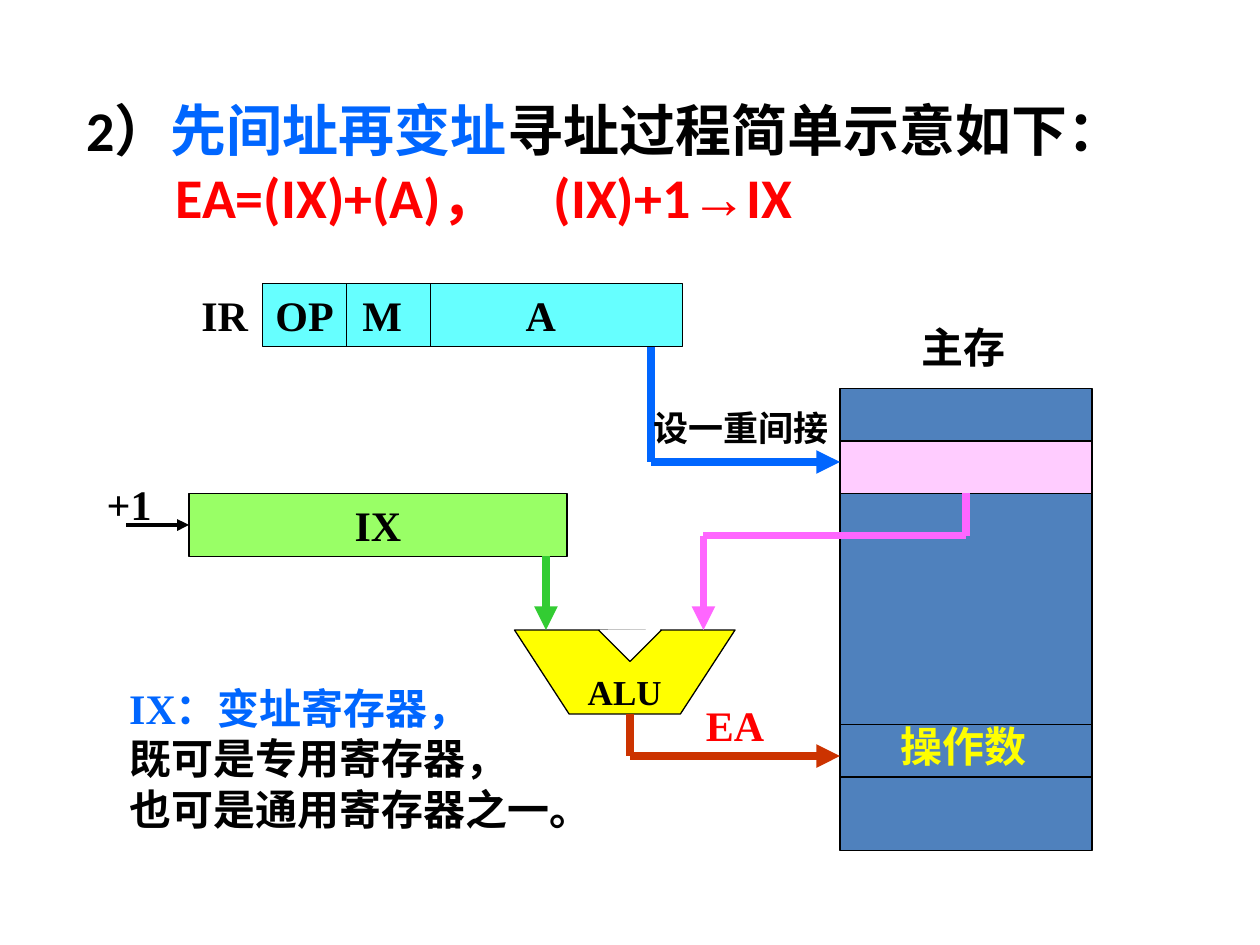
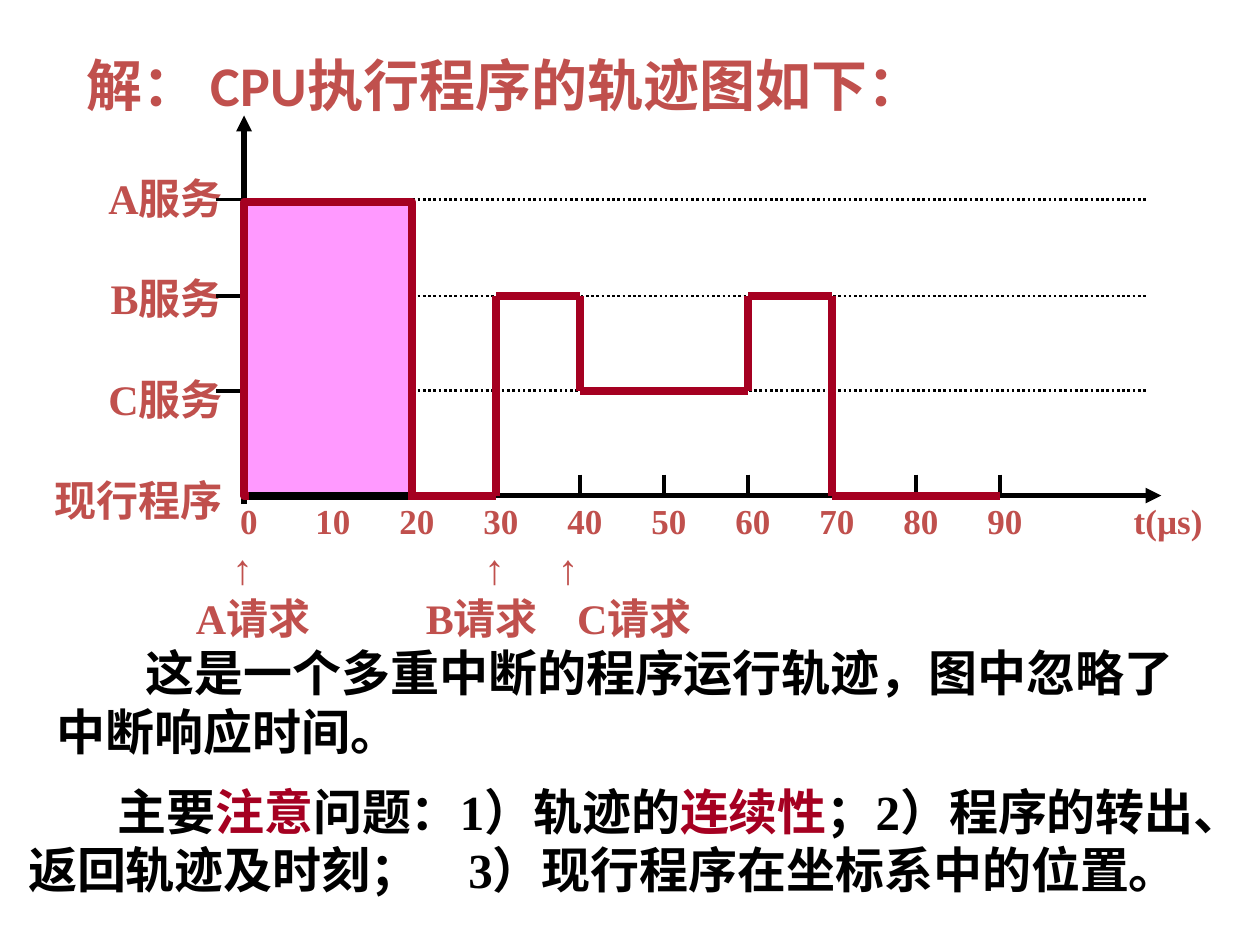
from itertools import pairwise

from pptx import Presentation
from pptx import util as u
from pptx.dml.color import RGBColor
from pptx.enum import dml, shapes, text
from pptx.oxml.ns import qn
from lxml import etree

COLORS = {
    "ink": "000000", "blue": "0066FF", "red": "FF0000", "brick": "C0504D",
    "crimson": "A50021", "cyan": "66FFFF", "lime": "99FF66", "green": "33CC33",
    "yellow": "FFFF00", "magenta": "FF66FF", "rose": "FFCCFF", "orchid": "FF99FF",
    "rust": "CC3300", "memory": "4F81BD", "paper": "FFFFFF",
}
HEADING_FONT, BODY_FONT, SYMBOL_FONT = "Calibri", "Times New Roman", "Arial"
CELL = u.Inches(1) / 12
THIN, MEDIUM, AXIS, THICK = 0.75, 2.25, 3, 4.5
ALIGN = text.PP_ALIGN


def cells(count):
    return u.Emu(round(count * CELL))


def rgb(name):
    return RGBColor.from_string(COLORS[name])


def style_run(run, size, color, font):
    run.font.size, run.font.bold, run.font.name = u.Pt(size), True, font
    run.font.color.rgb = rgb(color)


def write_runs(paragraph, parts, size, font):
    """Add (words, color[, font]) parts to the paragraph."""
    for words, color, *own_font in parts:
        run = paragraph.add_run()
        run.text = words
        style_run(run, size, color, own_font[0] if own_font else font)


def indent_first_line(paragraph, indent=8.5):
    properties = paragraph._p.get_or_add_pPr()
    properties.set("marL", "0")
    properties.set("indent", str(cells(indent)))


def place(item, left, top, width, height):
    item.left, item.top = cells(left), cells(top)
    item.width, item.height = cells(width), cells(height)


def add_titled_slide(deck, box, lines):
    slide = deck.slides.add_slide(deck.slide_layouts[5])
    title = slide.shapes.title
    place(title, *box)
    frame = title.text_frame
    frame.auto_size = text.MSO_AUTO_SIZE.NONE
    frame.vertical_anchor = text.MSO_ANCHOR.MIDDLE
    for number, parts in enumerate(lines):
        paragraph = frame.add_paragraph() if number else frame.paragraphs[0]
        paragraph.alignment = ALIGN.LEFT
        write_runs(paragraph, parts, 32, HEADING_FONT)
    return slide


def add_label(slide, words, x, y, size=24, color="ink", align=ALIGN.CENTER,
              font=BODY_FONT, width=20):
    """Write words around row y, with column x as their centre, left or right edge."""
    share = {ALIGN.LEFT: 0, ALIGN.CENTER: 0.5, ALIGN.RIGHT: 1}[align]
    height = 6 * len(words.split("\n"))
    box = slide.shapes.add_textbox(cells(x - width * share), cells(y - height / 2),
                                   cells(width), cells(height))
    frame = box.text_frame
    frame.margin_left = frame.margin_right = frame.margin_top = frame.margin_bottom = 0
    frame.word_wrap = True
    frame.vertical_anchor = text.MSO_ANCHOR.MIDDLE
    frame.text = words
    for paragraph in frame.paragraphs:
        paragraph.alignment = align
        for run in paragraph.runs:
            style_run(run, size, color, font)
    return box


def add_comment(slide, box, parts):
    """Add a wrapped paragraph with an indented first line."""
    comment = slide.shapes.add_textbox(*map(cells, box))
    frame = comment.text_frame
    frame.word_wrap = True
    frame.vertical_anchor = text.MSO_ANCHOR.MIDDLE
    indent_first_line(frame.paragraphs[0])
    write_runs(frame.paragraphs[0], parts, 28, BODY_FONT)


def paint(shape, fill, line="ink", weight=THIN):
    shape.shadow.inherit = False
    shape.fill.solid()
    shape.fill.fore_color.rgb = rgb(fill)
    shape.line.color.rgb = rgb(line)
    shape.line.width = u.Pt(weight)


def add_block(slide, left, top, width, height, *look, kind=shapes.MSO_SHAPE.RECTANGLE):
    block = slide.shapes.add_shape(kind, cells(left), cells(top), cells(width), cells(height))
    paint(block, *look)
    return block


def add_route(slide, points, color="ink", weight=THIN, arrow=False, dotted=False):
    """Join the points with straight lines; the last one may carry an arrowhead."""
    for start, end in pairwise(points):
        line = slide.shapes.add_connector(shapes.MSO_CONNECTOR.STRAIGHT,
                                          *map(cells, (*start, *end)))
        line.line.color.rgb = rgb(color)
        line.line.width = u.Pt(weight)
        if dotted:
            line.line.dash_style = dml.MSO_LINE.ROUND_DOT
        if arrow and end == points[-1]:
            etree.SubElement(line.line._get_or_add_ln(), qn("a:tailEnd"), type="triangle")
        etree.SubElement(line._element.spPr, qn("a:effectLst"))


def add_alu(slide):
    outline = [(49, 60), (54.2, 68), (64.8, 68), (70, 60)]
    corners = [(cells(x), cells(y)) for x, y in outline]
    builder = slide.shapes.build_freeform(*corners[0])
    builder.add_line_segments(corners[1:], close=True)
    paint(builder.convert_to_shape(), "yellow")
    notch = add_block(slide, 58, 58, 4, 4, "paper", "paper",
                      kind=shapes.MSO_SHAPE.RIGHT_TRIANGLE)
    notch.rotation = 314.6
    add_route(slide, [(57, 60), (60, 63), (63, 60)])
    add_label(slide, "ALU", 59.5, 65.9, 20)


def add_instruction_register(slide):
    add_block(slide, 25, 27, 40, 6, "cyan")
    for column in (33, 41):
        add_route(slide, [(column, 27), (column, 33)])
    for field, column in (("IR", 21.4), ("OP", 29), ("M", 36.4), ("A", 51.5)):
        add_label(slide, field, column, 30)


def add_main_memory(slide):
    left, width = 80, 24
    add_label(slide, "主存", 91.8, 33)
    add_block(slide, left, 37, width, 44, "memory")
    for row in (69, 74):
        add_route(slide, [(left, row), (left + width, row)])
    add_block(slide, left, 42, width, 5, "rose")
    add_label(slide, "操作数", 91.8, 71, color="yellow")


def build_addressing_slide(deck):
    slide = add_titled_slide(deck, (7, 5, 109, 21), [
        [("2）", "ink"), ("先间址再变址", "blue"), ("寻址过程简单示意如下：", "ink")],
        [("EA=(IX)+(A)，　(IX)+1", "red"), ("→", "red", SYMBOL_FONT), ("IX", "red")],
    ])
    indent_first_line(slide.shapes.title.text_frame.paragraphs[1])

    add_instruction_register(slide)
    add_block(slide, 18, 47, 36, 6, "lime")
    add_label(slide, "IX", 36, 50)
    add_label(slide, "+1", 12.3, 48)
    add_alu(slide)
    add_main_memory(slide)

    add_route(slide, [(12, 50), (18, 50)], weight=MEDIUM, arrow=True)
    for color, points in (
        ("blue", [(62, 33), (62, 44), (80, 44)]),
        ("green", [(52, 53), (52, 60)]),
        ("magenta", [(92, 47), (92, 51), (67, 51), (67, 60)]),
        ("rust", [(60, 68), (60, 72), (80, 72)]),
    ):
        add_route(slide, points, color, THICK, arrow=True)

    add_label(slide, "设一重间接", 70.6, 40.7, 20)
    add_label(slide, "EA", 70, 69, color="red")
    note = add_label(slide, "IX：变址寄存器，\n既可是专用寄存器，\n也可是通用寄存器之一。",
                     12.3, 72.2, align=ALIGN.LEFT, width=46)
    note.text_frame.paragraphs[0].runs[0].font.color.rgb = rgb("blue")


def time_column(microseconds):
    return 23.25 + 0.8 * microseconds


def build_trace_slide(deck):
    slide = add_titled_slide(deck, (7, 3, 110, 10),
                             [[("解： CPU执行程序的轨迹图如下：", "brick")]])
    levels = {"A服务": 19, "B服务": 28.2, "C服务": 37.2, "现行程序": 47.2}
    services = list(levels.values())[:3]
    base, origin = levels["现行程序"], time_column(0)

    add_route(slide, [(origin, 48), (origin, 11)], weight=AXIS, arrow=True)
    add_route(slide, [(origin, base), (110.6, base)], weight=AXIS, arrow=True)
    for number, level in enumerate(levels):
        add_label(slide, level, 21.2, 18.8 + 9.6 * number, color="brick", align=ALIGN.RIGHT)
    for row in services:
        add_route(slide, [(20.6, row), (origin, row)], weight=MEDIUM)
        add_route(slide, [(origin, row), (109.2, row)], weight=1.5, dotted=True)
    for moment in range(0, 100, 10):
        column = time_column(moment)
        if moment:
            add_route(slide, [(column, base - 2), (column, base)], weight=MEDIUM)
        add_label(slide, str(moment), column + 0.45, 49.6, 20, "brick", width=6)
    add_label(slide, "t(µs)", 111.25, 49.6, 20, "brick", width=10)

    add_block(slide, origin, services[0] + 0.2, time_column(20) - origin, base - services[0] - 0.2,
              "orchid", "crimson", THICK)
    trace = [(20, "现行程序"), (30, "现行程序"), (30, "B服务"), (40, "B服务"), (40, "C服务"),
             (60, "C服务"), (60, "B服务"), (70, "B服务"), (70, "现行程序"), (90, "现行程序")]
    add_route(slide, [(time_column(moment), levels[level]) for moment, level in trace],
              "crimson", THICK)
    add_route(slide, [(origin + 0.5, base), (time_column(20) - 0.4, base)], weight=THICK)

    for request, arrow_column, column in (("A请求", 23.1, 24.1), ("B请求", 47.1, 45.9),
                                          ("C请求", 54.1, 60.4)):
        add_label(slide, "↑", arrow_column, 54.1, color="brick", font=SYMBOL_FONT, width=4)
        add_label(slide, request, column, 58.8, color="brick")

    add_comment(slide, (4.2, 60.8, 112, 12),
                [("这是一个多重中断的程序运行轨迹，图中忽略了中断响应时间。", "ink")])
    add_comment(slide, (1.5, 71.5, 115, 17), [
        ("主要", "ink"), ("注意", "crimson"), ("问题：1）轨迹的", "ink"), ("连续性", "crimson"),
        ("；2）程序的转出、返回轨迹及时刻；　3）现行程序在坐标系中的位置。", "ink"),
    ])


def main():
    deck = Presentation()
    deck.slide_width, deck.slide_height = cells(120), cells(90)
    build_addressing_slide(deck)
    build_trace_slide(deck)
    deck.save("out.pptx")


if __name__ == "__main__":
    main()
